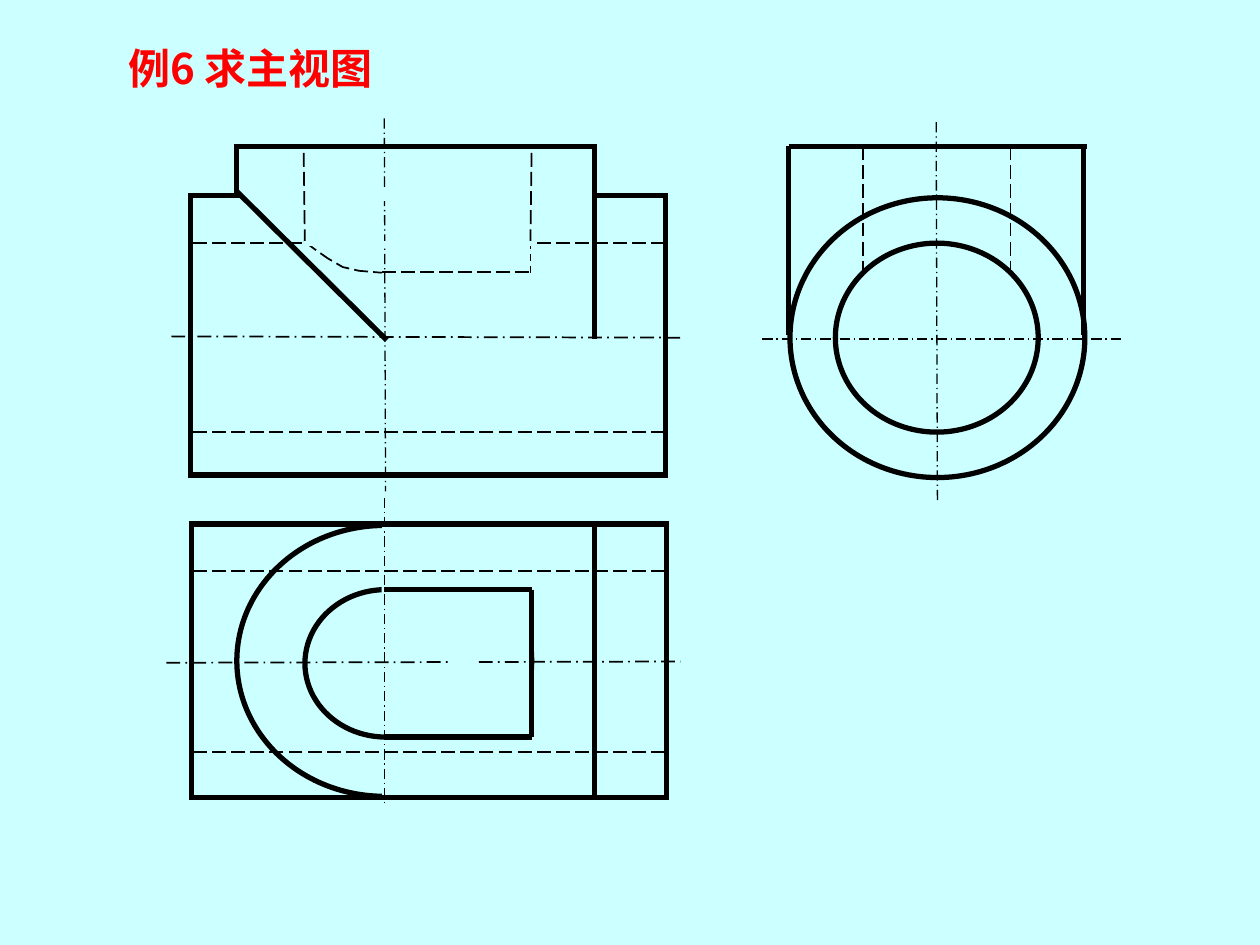
from pptx import Presentation
from pptx.dml.color import RGBColor
from pptx.enum.dml import MSO_LINE
from pptx.enum.shapes import MSO_CONNECTOR, MSO_SHAPE
from pptx.enum.text import MSO_ANCHOR, MSO_AUTO_SIZE, PP_ALIGN
from pptx.oxml.ns import qn
from pptx.util import Inches, Pt
from lxml import etree

RECTANGLE = MSO_SHAPE.RECTANGLE
ELLIPSE = MSO_SHAPE.OVAL
STRAIGHT = MSO_CONNECTOR.STRAIGHT
LONG_DASH = MSO_LINE.LONG_DASH
LONG_DASH_DOT = MSO_LINE.LONG_DASH_DOT
SHORT_DASH = MSO_LINE.DASH
COLUMNS, ROWS = 100, 75
TITLE_ONLY = 5

COLORS = {"paper": "CCFFFF", "ink": "000000", "title": "FF0000"}
FONT = "Noto Sans CJK SC"

# Each pen is a colour, a width in points and a dash style.
PENS = {
    "visible": ("ink", 3, None),
    "hidden": ("ink", 1, LONG_DASH),
    "hidden short": ("ink", 1, SHORT_DASH),
    "axis": ("ink", 1, LONG_DASH_DOT),
    "thin axis": ("ink", 0.75, LONG_DASH_DOT),
    "eraser": ("paper", 3, None),
    "wide eraser": ("paper", 6, None),
}


def color(name):
    return RGBColor.from_string(COLORS[name])


def write(frame, text, size, fill, bold=False, align=PP_ALIGN.LEFT):
    frame.text = text
    paragraph = frame.paragraphs[0]
    paragraph.alignment = align
    run = paragraph.runs[0]
    run.font.name = FONT
    run.font.size = Pt(size)
    run.font.bold = bold
    run.font.color.rgb = color(fill)
    east_asian = etree.SubElement(run.font._element, qn("a:ea"))
    east_asian.set("typeface", FONT)


class Drawing:
    """Draws on one slide; positions are columns and rows of the grid."""

    def __init__(self, presentation):
        self.slide = presentation.slides.add_slide(presentation.slide_layouts[TITLE_ONLY])
        self.column = presentation.slide_width / COLUMNS
        self.row = presentation.slide_height / ROWS
        background = self.slide.background.fill
        background.solid()
        background.fore_color.rgb = color("paper")
        self.shapes = self.slide.shapes.add_group_shape().shapes

    def place(self, x, y):
        return round(x * self.column), round(y * self.row)

    def stroke(self, line, pen):
        name, width, dash = PENS[pen]
        line.color.rgb = color(name)
        line.width = Pt(width)
        if dash is not None:
            line.dash_style = dash
        etree.SubElement(line._ln, qn("a:miter")).set("lim", "800000")

    def finish(self, shape, pen, fill):
        shape.shadow.inherit = False
        if fill:
            shape.fill.solid()
            shape.fill.fore_color.rgb = color(fill)
        else:
            shape.fill.background()
        self.stroke(shape.line, pen)

    def title(self, text, left, top, width, height):
        shape = self.slide.shapes.title
        shape.left, shape.top = self.place(left, top)
        shape.width, shape.height = self.place(width, height)
        frame = shape.text_frame
        frame.word_wrap = True
        frame.auto_size = MSO_AUTO_SIZE.SHAPE_TO_FIT_TEXT
        frame.vertical_anchor = MSO_ANCHOR.MIDDLE
        write(frame, text, size=24, fill="title", bold=True)

    def outline(self, kind, left, top, width, height, pen="visible", fill=None):
        shape = self.shapes.add_shape(kind, *self.place(left, top), *self.place(width, height))
        self.finish(shape, pen, fill)

    def line(self, pen, x1, y1, x2, y2):
        connector = self.shapes.add_connector(STRAIGHT, *self.place(x1, y1), *self.place(x2, y2))
        self.stroke(connector.line, pen)
        etree.SubElement(connector._element.spPr, qn("a:effectLst"))

    def polyline(self, points, pen, fill=None, close=False):
        start, *others = [self.place(x, y) for x, y in points]
        builder = self.shapes.build_freeform(*start)
        builder.add_line_segments(others, close=close)
        self.finish(builder.convert_to_shape(), pen, fill)


def draw_top_view_arc(drawing):
    """The left half of the boss, under the rest of the view."""
    drawing.outline(ELLIPSE, 18.8, 41.7, 23.4, 21.5)
    drawing.outline(RECTANGLE, 30.5, 41.4, 11.7, 21.9, pen="eraser", fill="paper")


def draw_side_view(drawing):
    drawing.line("thin axis", 60.5, 26.9, 89, 26.9)
    drawing.line("thin axis", 74.3, 9.7, 74.4, 39.7)
    drawing.outline(ELLIPSE, 62.7, 15.7, 23.4, 22.2)
    drawing.outline(ELLIPSE, 66.3, 19.3, 16.1, 15)
    for x in (62.6, 86):
        drawing.line("visible", x, 26.6, x, 11.6)
    drawing.line("visible", 62.6, 11.6, 86.3, 11.6)
    for x in (68.5, 80.2):
        drawing.line("hidden", x, 11.6, x, 21.7)


def draw_front_view(drawing):
    drawing.polyline([(24.2, 19.2), (25, 19.8), (26, 20.5), (27.2, 21.2),
                      (28.5, 21.5), (30.3, 21.65)], "hidden")
    drawing.line("hidden", 30.3, 21.6, 42.2, 21.6)
    drawing.line("axis", 13.6, 26.7, 54.2, 26.8)
    drawing.outline(RECTANGLE, 15.1, 15.5, 37.7, 22.2)
    drawing.outline(RECTANGLE, 18.8, 11.6, 28.4, 3.9)
    drawing.line("thin axis", 30.5, 9.4, 30.6, 39)
    drawing.line("wide eraser", 19.2, 15.5, 47, 15.5)
    drawing.line("visible", 18.8, 15.2, 30.7, 27)
    drawing.line("visible", 47.2, 15.2, 47.2, 26.9)
    for y in (19.3, 34.3):
        drawing.line("hidden", 52.8, y, 15.2, y)
    drawing.line("hidden", 24.2, 19.3, 24.1, 11.8)
    drawing.line("hidden", 42.1, 19.3, 42.2, 11.6)
    drawing.line("hidden short", 42.1, 19.2, 42.1, 21.7)
    drawing.line("eraser", 24.1, 19.3, 42.2, 19.3)


def draw_top_view(drawing):
    drawing.line("axis", 13.2, 52.6, 54, 52.5)
    drawing.outline(RECTANGLE, 15.2, 41.6, 37.7, 21.7)
    drawing.outline(ELLIPSE, 24.2, 46.8, 12.8, 11.7)
    for y in (45.3, 59.7):
        drawing.line("hidden", 52.8, y, 15.2, y)
    drawing.line("visible", 47.2, 41.5, 47.2, 63.2)
    right_half = [
        (30.5, 46.3), (30.5, 47.8), (33, 47.8), (34.3, 49.2), (36.2, 51.3),
        (36, 53), (35.8, 54.8), (34.8, 56.5), (33, 57.3), (32, 58),
        (30.7, 58.2), (30.8, 59.2), (33.8, 58.7), (35.7, 57), (37.5, 54.3),
        (37.5, 52.2), (37.2, 49.7), (35.7, 47.8), (33.2, 46.3),
    ]
    drawing.polyline(right_half, "eraser", fill="paper", close=True)
    drawing.line("thin axis", 30.5, 39.5, 30.5, 63.9)
    for y in (46.8, 58.5):
        drawing.line("visible", 30.5, y, 42.2, y)
    drawing.line("visible", 42.2, 46.8, 42.2, 58.5)


def main():
    presentation = Presentation()
    presentation.slide_width, presentation.slide_height = Inches(10), Inches(7.5)
    drawing = Drawing(presentation)
    drawing.title("例6 求主视图", 9.2, 2.9, 32.9, 5)
    draw_top_view_arc(drawing)
    draw_side_view(drawing)
    draw_front_view(drawing)
    draw_top_view(drawing)
    presentation.save("out.pptx")


if __name__ == "__main__":
    main()
